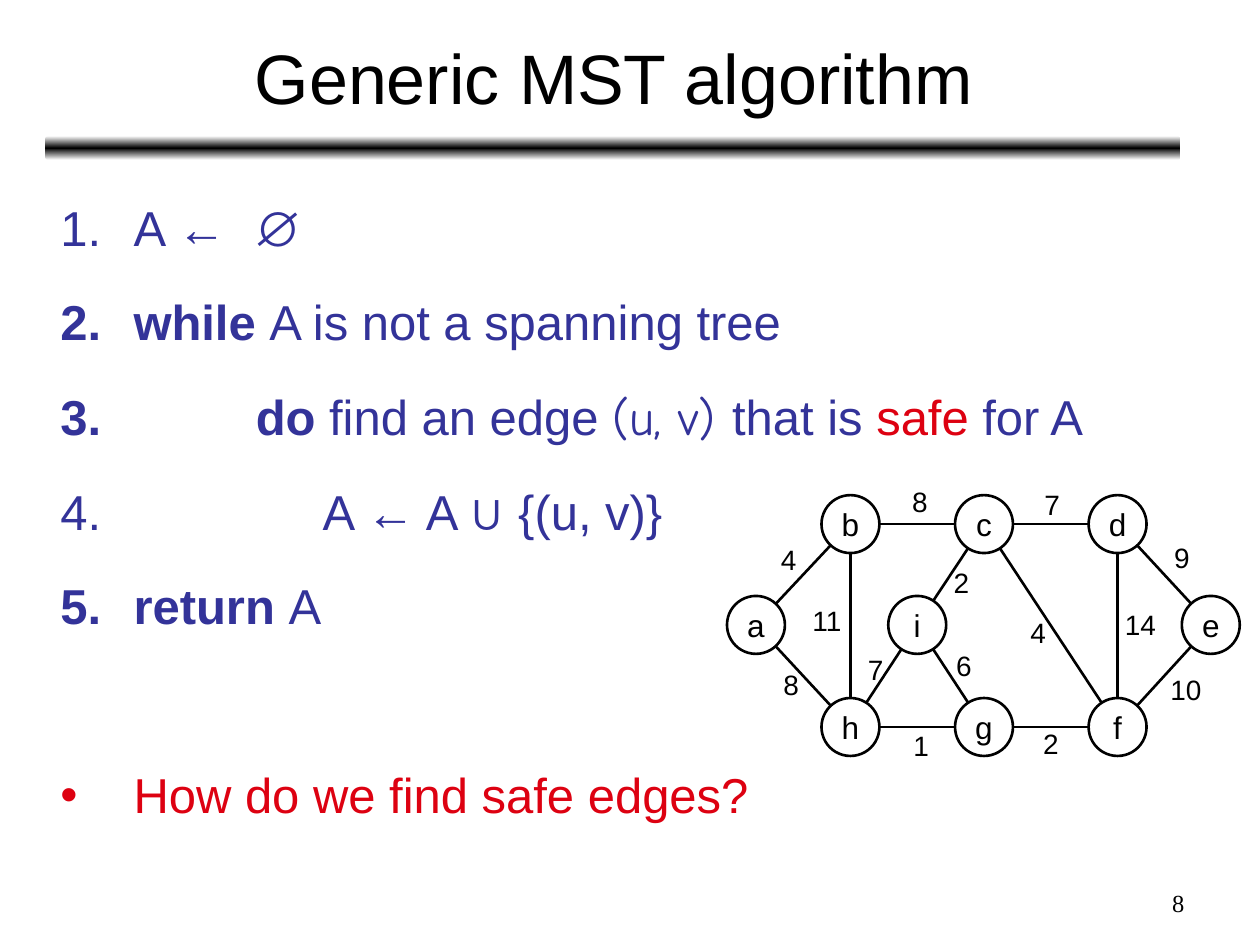
import copy
import math

import pptx
import pptx.dml.color
import pptx.enum.shapes
import pptx.enum.text
import pptx.oxml.ns
import pptx.util
from lxml import etree

Inches = pptx.util.Inches
Pt = pptx.util.Pt
Align = pptx.enum.text.PP_ALIGN
Anchor = pptx.enum.text.MSO_ANCHOR
AutoSize = pptx.enum.text.MSO_AUTO_SIZE
Shapes = pptx.enum.shapes.MSO_SHAPE
qn = pptx.oxml.ns.qn

COLORS = {"black": "000000", "white": "FFFFFF", "blue": "333399", "red": "DD0111"}


def rgb(name):
    return pptx.dml.color.RGBColor.from_string(COLORS[name])


class AlgorithmSlide:
    font = "Arial"
    line_width = 1.5

    def __init__(self, presentation):
        self.slide = presentation.slides.add_slide(presentation.slide_layouts[1])
        self.shapes = self.slide.shapes

    def place(self, shape, left, top, width, height):
        shape.left, shape.top = Inches(left), Inches(top)
        shape.width, shape.height = Inches(width), Inches(height)

    def run(self, paragraph, text, size, color="black", bold=False, font=None, spacing=0):
        run = paragraph.add_run()
        run.text = text
        run.font.size = Pt(size)
        run.font.name = font or self.font
        run.font.bold = bold
        run.font.color.rgb = rgb(color)
        if spacing:
            run.font._element.set("spc", str(spacing * 100))

    def title(self, text, *box):
        title = self.slide.shapes.title
        self.place(title, *box)
        title.text_frame.vertical_anchor = Anchor.MIDDLE
        paragraph = title.text_frame.paragraphs[0]
        paragraph.alignment = Align.CENTER
        self.run(paragraph, text, 40)

    def bullet(self, paragraph, color, indent, tag, **attributes):
        properties = paragraph._p.get_or_add_pPr()
        properties.set("marL", str(Inches(indent)))
        properties.set("indent", str(-Inches(indent)))
        bullet_color = etree.SubElement(properties, qn("a:buClr"))
        etree.SubElement(bullet_color, qn("a:srgbClr"), val=COLORS[color])
        etree.SubElement(properties, qn(tag), **attributes)

    def body(self, items, *box):
        body = self.slide.placeholders[1]
        self.place(body, *box)
        frame = body.text_frame
        frame.auto_size = AutoSize.NONE
        for index, (indent, before, marker, runs) in enumerate(items):
            paragraph = frame.add_paragraph() if index else frame.paragraphs[0]
            paragraph.line_spacing = 1.4
            paragraph.space_before = Pt(before)
            if marker == "number":
                self.bullet(paragraph, "blue", indent, "a:buAutoNum", type="arabicPeriod")
            else:
                self.bullet(paragraph, "red", indent, "a:buChar", char=marker)
            for text, style in runs:
                self.run(paragraph, text, 28, **{"color": "blue", **style})

    def gradient_bar(self, *box):
        bar = self.shapes.add_shape(Shapes.ROUNDED_RECTANGLE, *map(Inches, box))
        bar.shadow.inherit = False
        bar.line.fill.background()
        bar.fill.gradient()
        bar.fill.gradient_angle = 90
        stop_list = bar._element.spPr.find(".//" + qn("a:gsLst"))
        stop_list.append(copy.deepcopy(stop_list[0]))
        for index, stop in enumerate(bar.fill.gradient_stops):
            stop.position = index / 2
            stop.color.rgb = rgb("black" if index == 1 else "white")

    def node(self, name, x, y, radius):
        box = (x - radius, y - radius, 2 * radius, 2 * radius)
        node = self.shapes.add_shape(Shapes.OVAL, *map(Inches, box))
        node.shadow.inherit = False
        node.fill.background()
        node.line.color.rgb = rgb("black")
        node.line.width = Pt(self.line_width)
        frame = node.text_frame
        frame.word_wrap = False
        frame.vertical_anchor = Anchor.MIDDLE
        frame.paragraphs[0].alignment = Align.CENTER
        self.run(frame.paragraphs[0], name, 18)

    def edge(self, start, end, radius):
        distance = math.dist(start, end)
        dx, dy = [(b - a) * radius / distance for a, b in zip(start, end)]
        points = (start[0] + dx, start[1] + dy, end[0] - dx, end[1] - dy)
        line = self.shapes.add_connector(
            pptx.enum.shapes.MSO_CONNECTOR.STRAIGHT, *map(Inches, points))
        line.line.color.rgb = rgb("black")
        line.line.width = Pt(self.line_width)
        etree.SubElement(line._element.spPr, qn("a:effectLst"))

    def label(self, text, box, size=16, align=Align.LEFT, font=None, wrap=False):
        label = self.shapes.add_textbox(*map(Inches, box))
        frame = label.text_frame
        frame.word_wrap = wrap
        frame.auto_size = AutoSize.NONE if wrap else AutoSize.SHAPE_TO_FIT_TEXT
        paragraph = frame.paragraphs[0]
        paragraph.alignment = align
        self.run(paragraph, text, size, font=font)

    def graph(self, nodes, edges, radius):
        self.shapes = self.slide.shapes.add_group_shape().shapes
        for name, center in nodes.items():
            self.node(name, *center, radius)
        for ends, weight, left, top in edges:
            self.edge(nodes[ends[0]], nodes[ends[1]], radius)
            self.label(weight, (left, top, 0.2 + 0.13 * len(weight), 0.37))
        self.shapes = self.slide.shapes


BOLD = {"bold": True}
RED = {"color": "red"}
STEPS = [
    (0.58, 7, "number", [("A ←", {}), (" ", {"spacing": 8}), ("∅", {})]),
    (0.58, 7, "number", [("while ", BOLD), ("A is not a spanning tree", {})]),
    (1.55, 7, "number", [("do ", BOLD), ("find an edge ", {}),
                         ("(u, v) ", {"font": "Comic Neue"}), ("that is ", {}),
                         ("safe", RED), (" for A", {})]),
    (2.08, 7, "number", [("A ← A ∪ {(u, v)}", {})]),
    (0.58, 7, "number", [("return ", BOLD), ("A", {})]),
    (0.58, 61, "•", [("How do we find safe edges?", RED)]),
]

TOP, MIDDLE, BOTTOM = 4.16, 4.96, 5.77
NODES = {
    "a": (6.0, MIDDLE), "b": (6.75, TOP), "c": (7.81, TOP), "d": (8.87, TOP),
    "e": (9.61, MIDDLE), "h": (6.75, BOTTOM), "g": (7.81, BOTTOM),
    "f": (8.87, BOTTOM), "i": (7.28, MIDDLE),
}
EDGES = [
    ("ab", "4", 6.1, 4.26), ("bc", "8", 7.14, 3.8), ("cd", "7", 8.19, 3.82),
    ("ah", "8", 6.12, 5.25), ("bh", "11", 6.35, 4.74), ("hg", "1", 7.15, 5.73),
    ("gf", "2", 8.18, 5.72), ("hi", "7", 6.79, 5.13), ("ic", "2", 7.47, 4.44),
    ("cf", "4", 8.08, 4.84), ("df", "14", 8.83, 4.77), ("de", "9", 9.22, 4.24),
    ("fe", "10", 9.19, 5.29), ("ig", "6", 7.49, 5.1),
]

presentation = pptx.Presentation()
presentation.slide_width, presentation.slide_height = Inches(10), Inches(7.5)
page = AlgorithmSlide(presentation)
page.gradient_bar(0.36, 1.08, 9.01, 0.19)
page.title("Generic MST algorithm", 0.37, 0.11, 9, 0.99)
page.body(STEPS, 0.38, 1.33, 9, 5.55)
page.graph(NODES, EDGES, 0.23)
page.label("8", (7.17, 7, 2.33, 0.35), 14, Align.RIGHT, "Times New Roman", True)
presentation.save("out.pptx")
